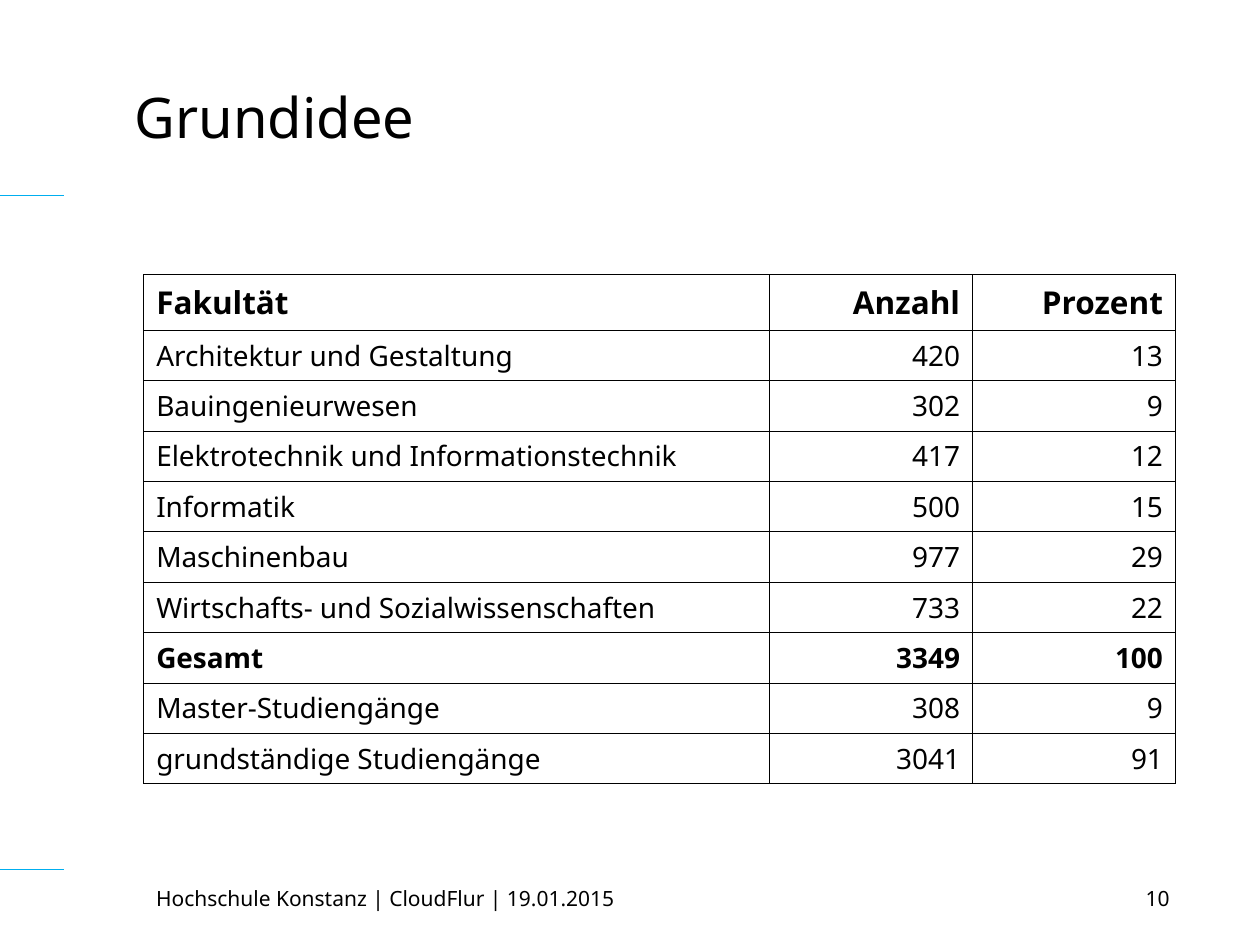
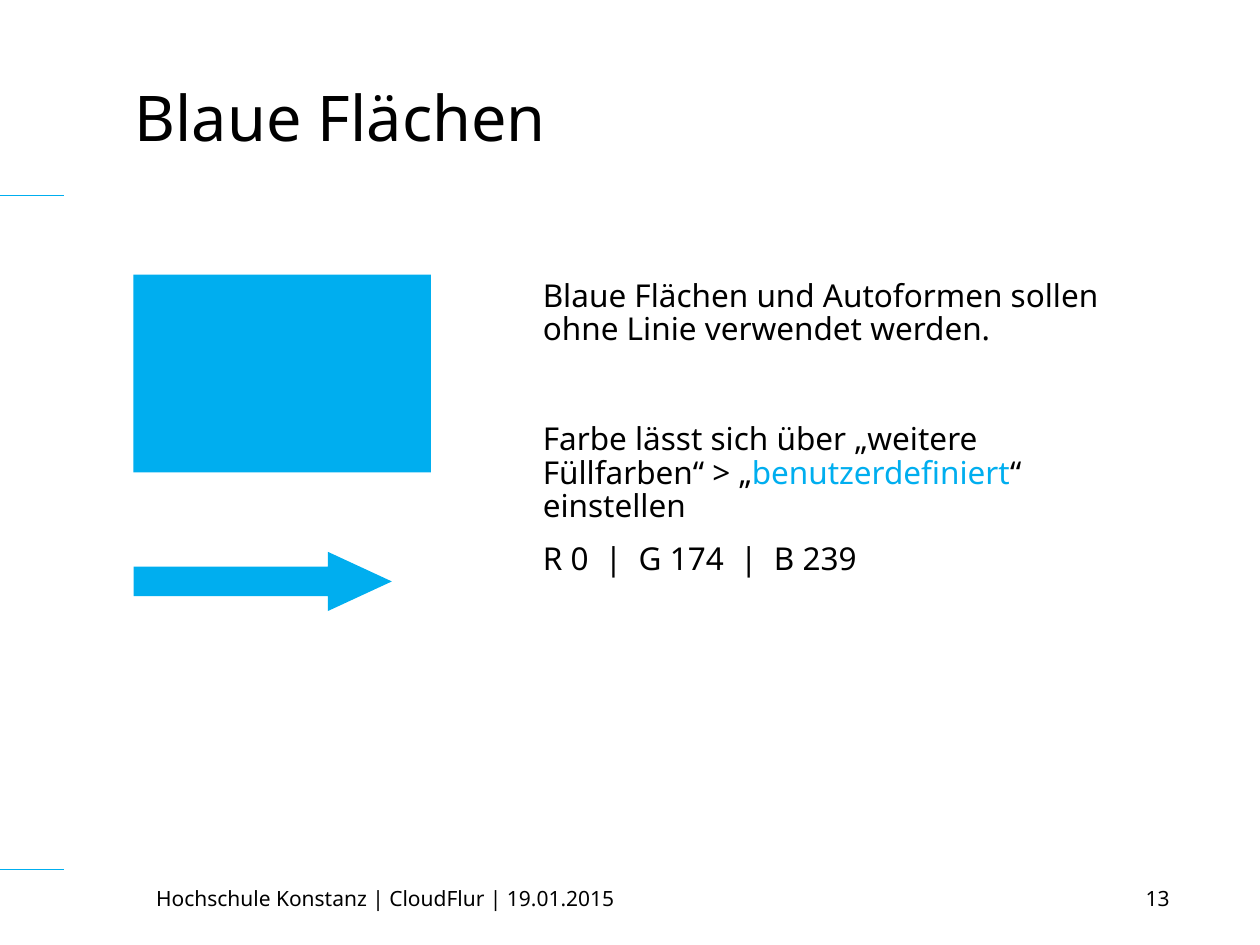
from pptx import Presentation
from pptx.dml.color import RGBColor
from pptx.enum.shapes import MSO_CONNECTOR, MSO_SHAPE
from pptx.enum.text import MSO_ANCHOR, PP_ALIGN
from pptx.oxml.ns import qn
from pptx.util import Inches, Pt
from lxml.etree import SubElement

COLORS = {"text": "000000", "blue": "00AEEF"}
FONT = "Noto Sans"
FOOTER = "Hochschule Konstanz | CloudFlur | 19.01.2015"
LEFT, RIGHT = PP_ALIGN.LEFT, PP_ALIGN.RIGHT

HEADER = ("Fakultät", "Anzahl", "Prozent")
ROWS = [
    ("Architektur und Gestaltung", 420, 13),
    ("Bauingenieurwesen", 302, 9),
    ("Elektrotechnik und Informationstechnik", 417, 12),
    ("Informatik", 500, 15),
    ("Maschinenbau", 977, 29),
    ("Wirtschafts- und Sozialwissenschaften", 733, 22),
    ("Gesamt", 3349, 100),
    ("Master-Studiengänge", 308, 9),
    ("grundständige Studiengänge", 3041, 91),
]

# Each paragraph: space before in points, then runs as (text, colour)
NOTES = [
    (0, [("Blaue Flächen und Autoformen sollen ohne Linie verwendet werden.", "text")]),
    (44, [("Farbe lässt sich über „weitere Füllfarben“ > „", "text"),
          ("benutzerdefiniert", "blue"), ("“ einstellen", "text")]),
    (11.2, [("R 0  |  G 174  |  B 239", "text")]),
]


def color(name):
    return RGBColor.from_string(COLORS[name])


def style(run, size, bold=False, tone="text"):
    run.font.name = FONT
    run.font.size = Pt(size)
    run.font.bold = bold
    run.font.color.rgb = color(tone)


def add_box(slide, box, anchor=MSO_ANCHOR.TOP):
    frame = slide.shapes.add_textbox(*map(Inches, box)).text_frame
    frame.word_wrap = True
    frame.vertical_anchor = anchor
    return frame


def add_text(slide, box, text, size, align=LEFT, anchor=MSO_ANCHOR.TOP):
    frame = add_box(slide, box, anchor)
    frame.text = text
    para = frame.paragraphs[0]
    para.alignment = align
    style(para.runs[0], size)


def add_rule(slide, y):
    line = slide.shapes.add_connector(
        MSO_CONNECTOR.STRAIGHT, Inches(-0.04), Inches(y), Inches(0.51), Inches(y))
    line.line.color.rgb = color("blue")
    line.line.width = Pt(0.75)
    SubElement(line._element.spPr, qn("a:effectLst"))


def add_slide(deck, title, size, number):
    """Blank slide with the shared rules, footer and title."""
    slide = deck.slides.add_slide(deck.slide_layouts[6])
    for y in (1.55, 6.9):
        add_rule(slide, y)
    add_text(slide, (1.14, 6.98, 6.62, 0.52), FOOTER, 12)
    add_text(slide, (8.07, 6.98, 1.31, 0.52), str(number), 12, RIGHT)
    add_text(slide, (0.97, 0.3, 8.44, 1.25), title, size, anchor=MSO_ANCHOR.MIDDLE)
    return slide


def add_borders(cell):
    props = cell._tc.get_or_add_tcPr()
    for index, side in enumerate(("lnL", "lnR", "lnT", "lnB")):
        line = props.makeelement(qn(f"a:{side}"), {"w": str(Pt(0.45))})
        fill = SubElement(line, qn("a:solidFill"))
        SubElement(fill, qn("a:srgbClr"), val=COLORS["text"])
        props.insert(index, line)


def fill_cell(cell, text, size, bold, align):
    cell.fill.background()
    cell.vertical_anchor = MSO_ANCHOR.BOTTOM
    cell.text_frame.text = str(text)
    para = cell.text_frame.paragraphs[0]
    para.alignment = align
    style(para.runs[0], size, bold)
    add_borders(cell)


def add_table(slide):
    rows = [HEADER] + ROWS
    table = slide.shapes.add_table(
        len(rows), len(HEADER), Inches(1.14), Inches(2.18), Inches(8.19), Inches(4.04)).table
    for col, width in zip(table.columns, (4.97, 1.61, 1.61)):
        col.width = Inches(width)
    for r, values in enumerate(rows):
        table.rows[r].height = Inches(0.4 if r else 0.44)
        bold = r == 0 or values[0] == "Gesamt"
        for c, value in enumerate(values):
            fill_cell(table.cell(r, c), value, 16 if r else 18, bold, RIGHT if c else LEFT)


def add_area(slide, kind, box):
    shape = slide.shapes.add_shape(kind, *map(Inches, box))
    shape.shadow.inherit = False
    shape.fill.solid()
    shape.fill.fore_color.rgb = color("blue")
    shape.line.fill.background()
    return shape


def add_notes(slide, box):
    frame = add_box(slide, box)
    for i, (space, parts) in enumerate(NOTES):
        para = frame.add_paragraph() if i else frame.paragraphs[0]
        para.line_spacing = 0.88
        para.space_before = Pt(space)
        for text, tone in parts:
            run = para.add_run()
            run.text = text
            style(run, 18, tone=tone)


def main():
    deck = Presentation()
    deck.slide_width, deck.slide_height = Inches(10), Inches(7.5)

    # Student numbers by faculty
    slide = add_slide(deck, "Grundidee", 32, 10)
    add_table(slide)

    # Blue areas without outline
    slide = add_slide(deck, "Blaue Flächen", 36, 13)
    add_area(slide, MSO_SHAPE.RECTANGLE, (1.06, 2.18, 2.36, 1.57))
    add_notes(slide, (4.21, 2.18, 4.73, 2.67))
    arrow = add_area(slide, MSO_SHAPE.RIGHT_ARROW, (1.06, 4.38, 2.05, 0.47))
    arrow.adjustments[1] = 1.08

    deck.save("out.pptx")


if __name__ == "__main__":
    main()
